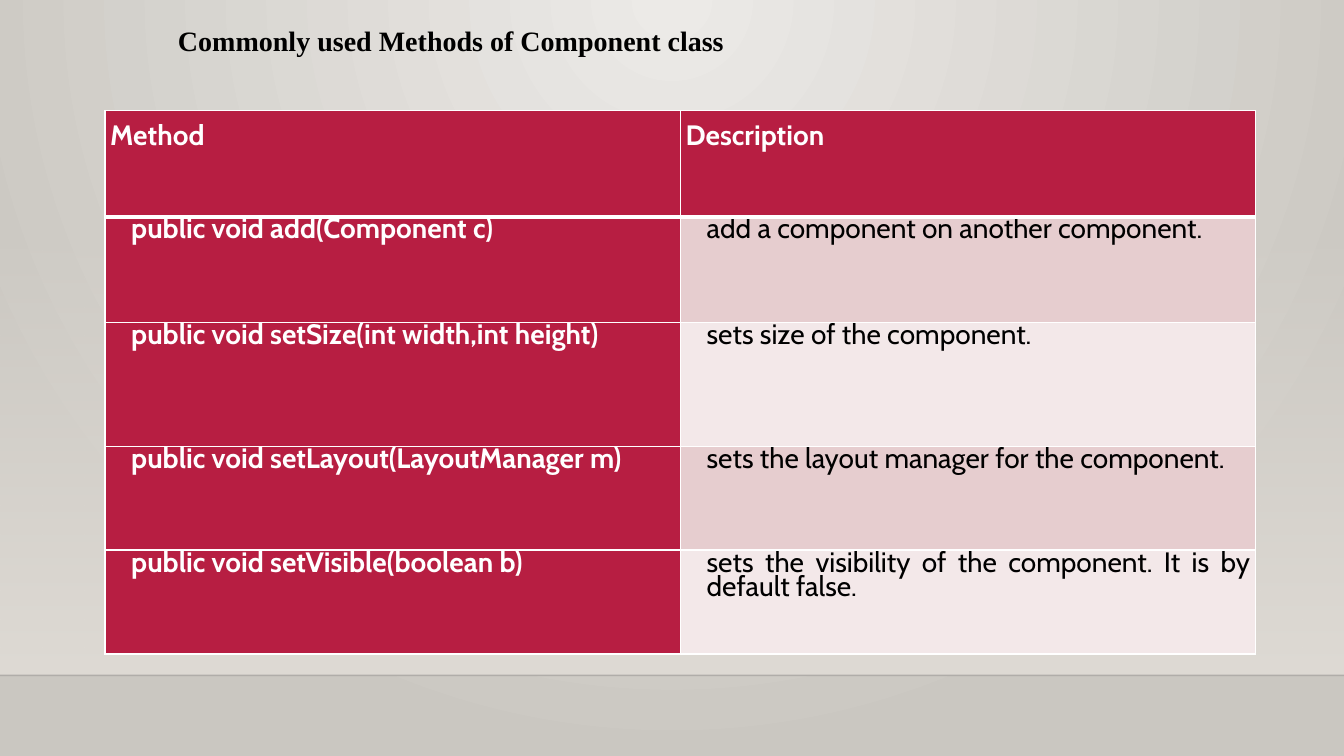
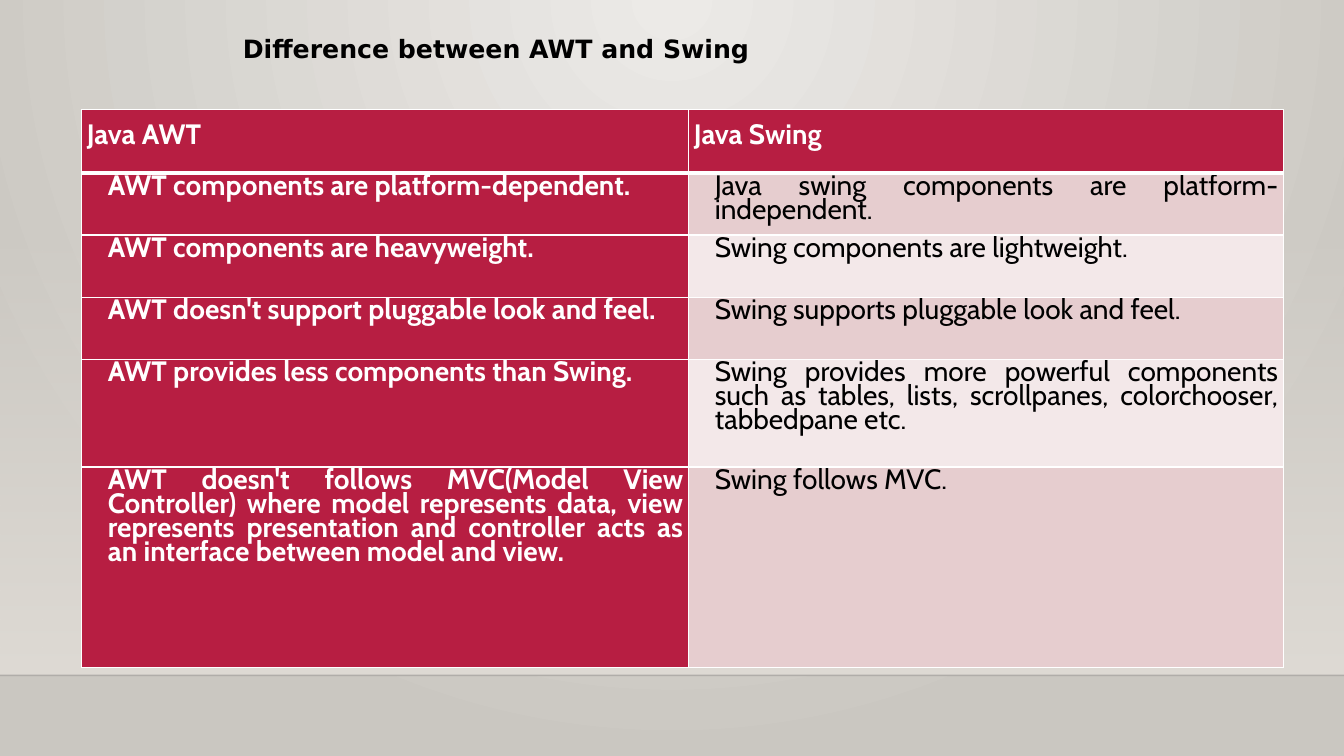
from pptx import Presentation
from pptx.dml.color import RGBColor
from pptx.enum import shapes, text
from pptx.oxml import parse_xml
from pptx.oxml import ns
from pptx.util import Pt

WIDE, HIGH = 960, 540
FLOOR = 482.4
RED, WHITE, BLACK = "B71E42", "FFFFFF", "000000"
TINTS = "E6CDCF", "F3E8E9"
SAND = "DFDBD5"
NS = ns.nsdecls("a")


def rgb(code):
    return RGBColor.from_string(code)


def blend(fill, root, stops, way):
    """Give a fill a gradient: stops are (place, colour, alpha) in percent."""
    fill.gradient()
    old = next(root.iter(ns.qn("a:gradFill")))
    marks = "".join(
        f'<a:gs pos="{at * 1000}"><a:srgbClr val="{code}">'
        f'<a:alpha val="{alpha * 1000}"/></a:srgbClr></a:gs>'
        for at, code, alpha in stops)
    new = parse_xml(f'<a:gradFill {NS} rotWithShape="1">'
                    f'<a:gsLst>{marks}</a:gsLst>{way}</a:gradFill>')
    old.getparent().replace(old, new)


class Deck:
    font, size = "Cabin", 20

    def __init__(self):
        self.prs = Presentation()
        self.prs.slide_width, self.prs.slide_height = Pt(WIDE), Pt(HIGH)
        # Shared backdrop
        master = self.prs.slide_master
        blend(master.background.fill, master.element,
              [(0, "ECEAE7", 100), (100, "CAC7C1", 100)],
              '<a:path path="circle"><a:fillToRect l="43000" t="0" '
              'r="43000" b="100000"/></a:path>')

    def page(self):
        self.slide = self.prs.slides.add_slide(self.prs.slide_layouts[6])
        self.band(159.1)
        self.rule(FLOOR)

    def band(self, top):
        wall = self.slide.shapes.add_shape(
            shapes.MSO_SHAPE.RECTANGLE, 0, Pt(top), Pt(WIDE), Pt(FLOOR - top))
        wall.shadow.inherit = False
        wall.line.fill.background()
        blend(wall.fill, wall.element, [(0, SAND, 0), (100, SAND, 100)],
              '<a:lin ang="5400000" scaled="0"/>')

    def rule(self, y):
        line = self.slide.shapes.add_connector(
            shapes.MSO_CONNECTOR.STRAIGHT, 0, Pt(y), Pt(WIDE), Pt(y))
        line.line.width = Pt(1)
        line.line.color.rgb = rgb("000001")
        tone = next(line.element.spPr.iter(ns.qn("a:srgbClr")))
        tone.append(parse_xml(f'<a:alpha {NS} val="20000"/>'))
        line.element.spPr.append(parse_xml(f"<a:effectLst {NS}/>"))

    def style(self, para, code, bold, font=None, size=None):
        for run in para.runs:
            run.font.name = font or self.font
            run.font.size = Pt(size or self.size)
            run.font.bold = bold
            run.font.color.rgb = rgb(code)

    def title(self, words, left, top, width, height, font, size):
        box = self.slide.shapes.add_textbox(
            Pt(left), Pt(top), Pt(width), Pt(height))
        box.text_frame.word_wrap = True
        box.text_frame.text = words
        para = box.text_frame.paragraphs[0]
        para.line_spacing = 1.07
        para.space_after = Pt(8)
        self.style(para, BLACK, True, font, size)

    def table(self, left, top, cols, rows, data):
        grid = self.slide.shapes.add_table(
            len(rows), len(cols), Pt(left), Pt(top),
            Pt(sum(cols)), Pt(sum(rows))).table
        grid.horz_banding = False
        for col, width in zip(grid.columns, cols):
            col.width = Pt(width)
        for row, height in zip(grid.rows, rows):
            row.height = Pt(height)
        for r, line in enumerate(data):
            for c, words in enumerate(line):
                self.cell(grid.cell(r, c), r, c, words)

    def cell(self, cell, r, c, words):
        head, dark = r == 0, r == 0 or c == 0
        # Borders: a thick rule parts the header from the body
        props = cell._tc.get_or_add_tcPr()
        widths = {"L": 1, "R": 1, "T": 3 if r == 1 else 1, "B": 3 if head else 1}
        for side, width in widths.items():
            props.append(parse_xml(
                f'<a:ln{side} {NS} w="{Pt(width)}"><a:solidFill>'
                f'<a:srgbClr val="{WHITE}"/></a:solidFill></a:ln{side}>'))
        cell.fill.solid()
        cell.fill.fore_color.rgb = rgb(RED if dark else TINTS[(r - 1) % 2])
        cell.margin_left = cell.margin_right = Pt(3.75)
        cell.margin_top = cell.margin_bottom = Pt(3.75)
        # Text
        cell.text_frame.text = words
        para = cell.text_frame.paragraphs[0]
        if head:
            para.line_spacing = 1.07
        else:
            para.line_spacing = Pt(17.2)
            para.alignment = text.PP_ALIGN.JUSTIFY
            indent = para._p.get_or_add_pPr()
            indent.set("marL", str(Pt(15)))
            indent.set("indent", "0")
        self.style(para, WHITE if dark else BLACK, dark)


def main():
    deck = Deck()

    # Component methods
    deck.page()
    deck.title("Commonly used Methods of Component class",
               120, 11.5, 472, 31.5, "Times New Roman", 20)
    deck.table(75, 79.2, [411, 411], [75.6, 75.6, 88.4, 74.2, 74.2], [
        ("Method", "Description"),
        ("public void add(Component c)",
         "add a component on another component."),
        ("public void setSize(int width,int height)",
         "sets size of the component."),
        ("public void setLayout(LayoutManager m)",
         "sets the layout manager for the component."),
        ("public void setVisible(boolean b)",
         "sets the visibility of the component. It is by default false."),
    ])

    # AWT against Swing
    deck.page()
    deck.title("Difference between AWT and Swing",
               166.3, 18.7, 381, 31, "DejaVu Sans", 18)
    deck.table(58.3, 78.5, [433.6, 425], [45, 44.4, 44.4, 44.4, 77, 143.3], [
        ("Java AWT", "Java Swing"),
        ("AWT components are platform-dependent.",
         "Java swing components are platform-independent."),
        ("AWT components are heavyweight.",
         "Swing components are lightweight."),
        ("AWT doesn't support pluggable look and feel.",
         "Swing supports pluggable look and feel."),
        ("AWT provides less components than Swing.",
         "Swing provides more powerful components such as tables, lists, "
         "scrollpanes, colorchooser, tabbedpane etc."),
        ("AWT doesn't follows MVC(Model View Controller) where model "
         "represents data, view represents presentation and controller acts "
         "as an interface between model and view.",
         "Swing follows MVC."),
    ])

    deck.prs.save("out.pptx")


if __name__ == "__main__":
    main()
